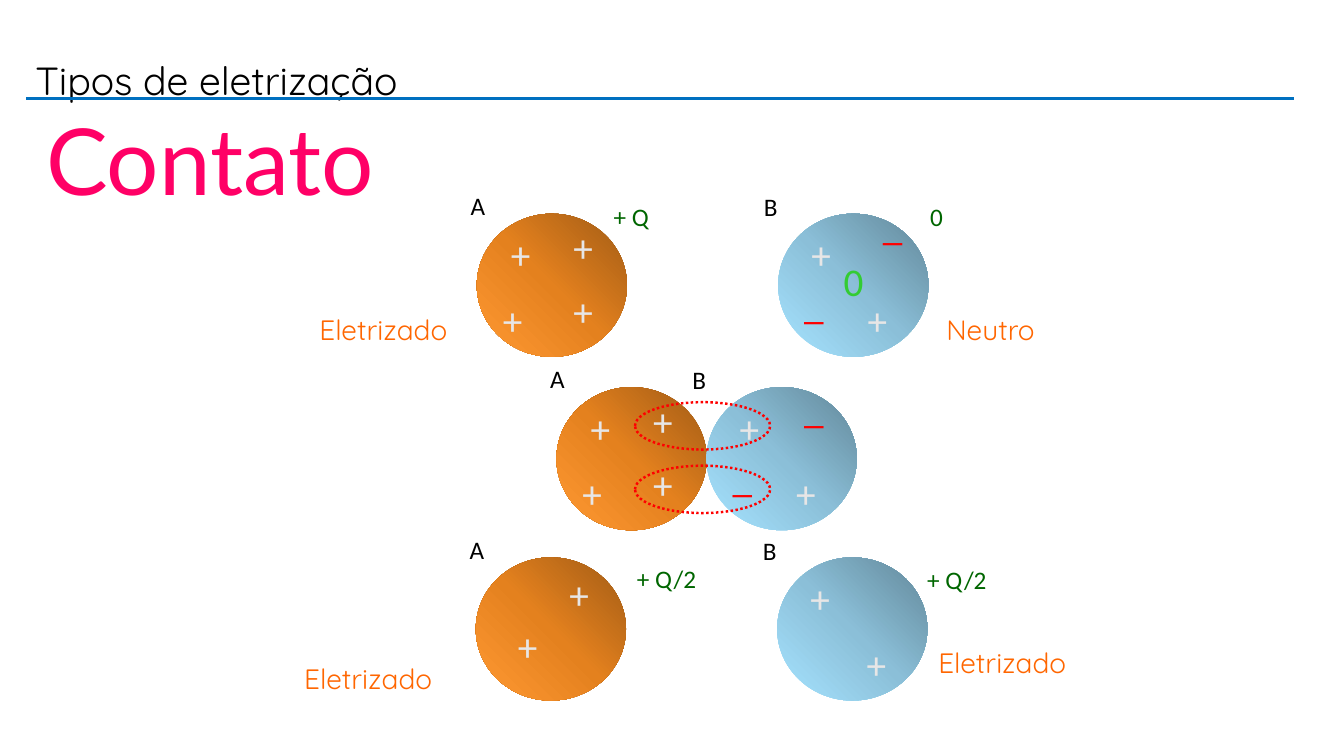
from dataclasses import dataclass

from pptx import Presentation
from pptx.dml.color import RGBColor
from pptx.enum.dml import MSO_LINE
from pptx.enum.shapes import MSO_CONNECTOR, MSO_SHAPE
from pptx.enum.text import MSO_ANCHOR, MSO_AUTO_SIZE, PP_ALIGN
from pptx.oxml import parse_xml
from pptx.oxml.ns import nsdecls, qn
from pptx.oxml.xmlchemy import OxmlElement
from pptx.util import Inches, Pt


@dataclass(frozen=True)
class Theme:
    """Colours, gradients and (font, size, colour) text styles."""
    rule: str = "0070C0"
    red: str = "FF0000"
    orange: tuple = ("A05B15", "E4811E", "FF9933")
    orange_flow: str = '<a:lin ang="8100000" scaled="1"/>'
    blue: tuple = ("628798", "8BBFD8", "A6E3FF")
    blue_flow: str = '<a:path path="circle"><a:fillToRect l="100000" b="100000"/></a:path>'
    title: tuple = ("Quicksand", 28, "000000")
    topic: tuple = ("Lato", 66, "FF0066")
    plus: tuple = ("Calibri", 28, "E7E6E6")
    minus: tuple = ("Calibri", 28, "FF0000")
    zero: tuple = ("Calibri", 28, "33CC33")
    letter: tuple = ("Calibri", 18, "000000")
    charge: tuple = ("Calibri", 18, "006600")
    state: tuple = ("Quicksand", 20, "FF6600")


class SlideBuilder:
    """Draws elements on a slide in grid columns and rows."""
    COLS, ROWS = 133.33, 75
    SPHERE = (14.9, 14.2)
    SIGN = (3.9, 5.7)

    def __init__(self, prs, theme):
        """Add a title slide to the presentation and keep the theme."""
        self.prs, self.theme = prs, theme
        self.s = prs.slides.add_slide(prs.slide_layouts[5])

    def box(self, x, y, w, h):
        """Convert grid cells to slide lengths."""
        col, row = self.prs.slide_width / self.COLS, self.prs.slide_height / self.ROWS
        return [round(v) for v in (x * col, y * row, w * col, h * row)]

    def style(self, tf, text, look):
        """Fill a text frame and format its run."""
        name, size, colour = look
        tf.word_wrap = True
        tf.text = text
        p = tf.paragraphs[0]
        p.alignment = PP_ALIGN.LEFT
        font = p.runs[0].font
        font.name, font.size = name, Pt(size)
        font.color.rgb = RGBColor.from_string(colour)

    def title(self, text, *cells):
        """Place and format the title placeholder."""
        sp = self.s.shapes.title
        sp.left, sp.top, sp.width, sp.height = self.box(*cells)
        tf = sp.text_frame
        self.style(tf, text, self.theme.title)
        tf.auto_size = MSO_AUTO_SIZE.NONE
        tf.vertical_anchor = MSO_ANCHOR.MIDDLE
        tf.paragraphs[0].line_spacing = 0.9

    def text(self, text, look, *cells):
        """Add a text box."""
        tf = self.s.shapes.add_textbox(*self.box(*cells)).text_frame
        self.style(tf, text, look)
        tf.auto_size = MSO_AUTO_SIZE.SHAPE_TO_FIT_TEXT

    def rule(self, x, y, w):
        """Add a horizontal line."""
        left, top, width, _ = self.box(x, y, w, 0)
        ln = self.s.shapes.add_connector(MSO_CONNECTOR.STRAIGHT, left, top, left + width, top)
        ln.line.color.rgb = RGBColor.from_string(self.theme.rule)
        ln.line.width = Pt(2.25)
        ln._element.spPr.append(OxmlElement("a:effectLst"))

    def ellipse(self, *cells):
        """Add a bare ellipse."""
        sp = self.s.shapes.add_shape(MSO_SHAPE.OVAL, *self.box(*cells))
        sp.shadow.inherit = False
        return sp

    def ring(self, *cells):
        """Add a dotted ellipse."""
        sp = self.ellipse(*cells)
        sp.fill.background()
        sp.line.color.rgb = RGBColor.from_string(self.theme.red)
        sp.line.width = Pt(1.75)
        sp.line.dash_style = MSO_LINE.ROUND_DOT

    def sphere(self, x, y, letter, signs):
        """Add a shaded sphere with its letter and inner signs."""
        t = self.theme
        colours, flow, dx, dy = {
            "A": (t.orange, t.orange_flow, -1.6, -2.8),
            "B": (t.blue, t.blue_flow, -2.4, -2.7),
        }[letter]
        sp = self.ellipse(x, y, *self.SPHERE)
        sp.line.fill.background()
        sp.fill.gradient()
        stops = "".join(f'<a:gs pos="{i * 50000}"><a:srgbClr val="{c}"/></a:gs>'
                        for i, c in enumerate(colours))
        spPr = sp._element.spPr
        spPr.replace(spPr.find(qn("a:gradFill")), parse_xml(
            f'<a:gradFill {nsdecls("a")} rotWithShape="1"><a:gsLst>{stops}</a:gsLst>{flow}</a:gradFill>'))
        looks = {"+": t.plus, "_": t.minus, "0": t.zero}
        for sign, sx, sy in signs:
            self.text(sign, looks[sign], x + sx, y + sy, *self.SIGN)
        self.text(letter, t.letter, x + dx, y + dy, 4.7, 5)


def main():
    """Build and save the slide."""
    prs = Presentation()
    prs.slide_width, prs.slide_height = Inches(13.333), Inches(7.5)
    t = Theme()
    b = SlideBuilder(prs, t)

    b.title("Tipos de eletrização", 2.5, 3.8, 74.6, 8.8)
    b.rule(2.6, 9.8, 125.8)
    b.text("Contato", t.topic, 3.6, 9.7, 45.7, 12.1)

    four = [("+", 2.4, 1.2), ("+", 1.6, 7.7), ("+", 8.6, 6.8), ("+", 8.6, 0.5)]
    pair = [("+", 2.3, 1.2), ("+", 7.9, 7.7)]
    low = ("_", 1.6, 6.1)
    spheres = [
        (47.3, 21.2, "A", four),
        (77.2, 21.2, "B", pair + [low, ("_", 9.4, -1.7), ("0", 5.5, 3.8)]),
        (55.2, 38.4, "A", four),
        (70.1, 38.4, "B", pair + [low, ("_", 8.7, -0.8)]),
        (47.2, 55.3, "A", [("+", 3.2, 5.9), ("+", 8.3, 0.8)]),
        (77.1, 55.3, "B", pair),
    ]
    for sphere in spheres:
        b.sphere(*sphere)
    for y in (39.9, 46.2):
        b.ring(63, y, 13.4, 4.7)

    for text, x, y, w in [("+ Q", 59.9, 19.5, 7.9), ("0", 91.3, 19.5, 4.8),
                          ("+ Q/2", 62.2, 55.4, 11), ("+ Q/2", 91, 55.5, 11)]:
        b.text(text, t.charge, x, y, w, 5)
    for text, x, y in [("Eletrizado", 30.7, 30.5), ("Neutro", 92.9, 30.5),
                       ("Eletrizado", 29.2, 65.1), ("Eletrizado", 92.1, 63.5)]:
        b.text(text, t.state, x, y, 17.7, 4.4)

    prs.save("out.pptx")


if __name__ == "__main__":
    main()
